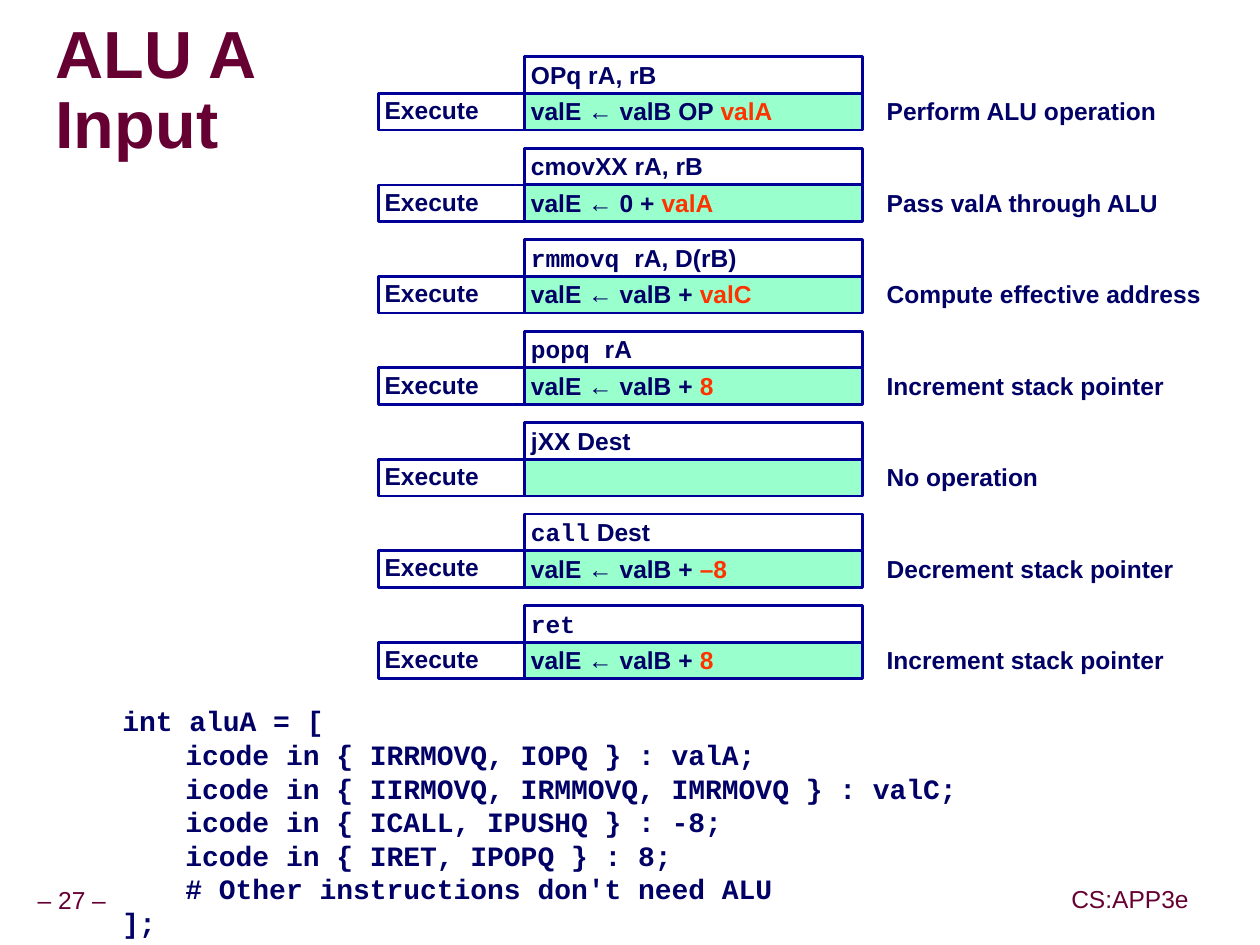
from dataclasses import dataclass

from lxml import etree
from pptx import Presentation
from pptx.dml.color import RGBColor
from pptx.enum.shapes import MSO_SHAPE
from pptx.enum.text import MSO_ANCHOR, MSO_AUTO_SIZE, PP_ALIGN
from pptx.oxml.ns import qn
from pptx.shapes.autoshape import Shape
from pptx.slide import Slide
from pptx.text.text import _Paragraph as Paragraph, _Run as Run
from pptx.util import Inches, Pt

RECTANGLE = MSO_SHAPE.RECTANGLE
TOP = MSO_ANCHOR.TOP
MIDDLE = MSO_ANCHOR.MIDDLE
LEFT = PP_ALIGN.LEFT
CENTER = PP_ALIGN.CENTER
FIT_SHAPE = MSO_AUTO_SIZE.SHAPE_TO_FIT_TEXT


@dataclass(frozen=True)
class Theme:
    navy: str = "000066"
    maroon: str = "660033"
    red: str = "FF3300"
    mint: str = "99FFCC"
    border: str = "000099"
    shadow: str = "969696"
    sans: str = "Arial"
    mono: str = "Courier New"
    title_size: int = 38
    code_size: int = 16
    label_size: int = 14
    border_width: float = 1.5


THEME = Theme()


@dataclass(frozen=True)
class Span:
    text: str
    color: str = THEME.navy
    font: str = THEME.sans
    size: int = THEME.label_size
    bold: bool = True


@dataclass(frozen=True)
class Box:
    left: float
    top: float
    width: float
    height: float


@dataclass(frozen=True)
class Instruction:
    name: list[Span]
    operation: list[Span]
    purpose: str


def mono(text: str) -> Span:
    return Span(text, font=THEME.mono)


def red(text: str) -> Span:
    return Span(text, color=THEME.red)


INSTRUCTIONS = [
    Instruction([Span("OPq rA, rB")], [Span("valE ← valB OP "), red("valA")], "Perform ALU operation"),
    Instruction([Span("cmovXX rA, rB")], [Span("valE ← 0 + "), red("valA")], "Pass valA through ALU"),
    Instruction([mono("rmmovq "), Span("rA, D(rB)")], [Span("valE ← valB + "), red("valC")],
                "Compute effective address"),
    Instruction([mono("popq "), Span("rA")], [Span("valE ← valB + "), red("8")], "Increment stack pointer"),
    Instruction([Span("jXX Dest")], [], "No operation"),
    Instruction([mono("call"), Span(" Dest")], [Span("valE ← valB + "), red("–8")], "Decrement stack pointer"),
    Instruction([mono("ret")], [Span("valE ← valB + "), red("8")], "Increment stack pointer"),
]

CODE = [
    "int aluA = [",
    "\ticode in { IRRMOVQ, IOPQ } : valA;",
    "\ticode in { IIRMOVQ, IRMMOVQ, IMRMOVQ } : valC;",
    "\ticode in { ICALL, IPUSHQ } : -8;",
    "\ticode in { IRET, IPOPQ } : 8;",
    "\t# Other instructions don't need ALU",
    "];",
]

FOOTERS = [
    ("– 27 –", Box(0.24, 6.99, 0.66, 0.31)),
    ("CS:APP3e", Box(8.44, 6.98, 1.04, 0.32)),
]

STAGE_LEFT, STAGE_WIDTH = 3.0, 1.16
DETAIL_LEFT, DETAIL_WIDTH = 4.16, 2.68
PURPOSE_LEFT = 6.98
ROW_HEIGHT = 0.29
FIRST_ROW, LAST_ROW = 0.74, 5.09
ROW_STEP = (LAST_ROW - FIRST_ROW) / (len(INSTRUCTIONS) - 1)


def add_span(paragraph: Paragraph, span: Span) -> Run:
    run = paragraph.add_run()
    run.text = span.text
    run.font.name = span.font
    run.font.size = Pt(span.size)
    run.font.bold = span.bold
    run.font.color.rgb = RGBColor.from_string(span.color)
    return run


def prepare_text(shape: Shape, anchor: MSO_ANCHOR, inset: float = 0.05) -> None:
    frame = shape.text_frame
    frame.word_wrap = True
    frame.vertical_anchor = anchor
    frame.margin_left = frame.margin_right = Inches(inset)
    frame.margin_top = frame.margin_bottom = Inches(inset)


def write_line(shape: Shape, spans: list[Span], alignment: PP_ALIGN = LEFT) -> None:
    paragraph = shape.text_frame.paragraphs[0]
    paragraph.alignment = alignment
    paragraph.line_spacing = 0.9
    for span in spans:
        add_span(paragraph, span)


def add_text_box(slide: Slide, box: Box, anchor: MSO_ANCHOR = TOP, inset: float = 0.05) -> Shape:
    shape = slide.shapes.add_textbox(
        Inches(box.left), Inches(box.top), Inches(box.width), Inches(box.height))
    prepare_text(shape, anchor, inset)
    return shape


def add_cell(slide: Slide, box: Box, spans: list[Span], anchor: MSO_ANCHOR = TOP, fill: str = "") -> None:
    shape = slide.shapes.add_shape(
        RECTANGLE, Inches(box.left), Inches(box.top), Inches(box.width), Inches(box.height))
    shape.shadow.inherit = False
    if fill:
        shape.fill.solid()
        shape.fill.fore_color.rgb = RGBColor.from_string(fill)
    else:
        shape.fill.background()
    shape.line.color.rgb = RGBColor.from_string(THEME.border)
    shape.line.width = Pt(THEME.border_width)
    prepare_text(shape, anchor)
    write_line(shape, spans)


def add_text_shadow(run: Run) -> None:
    effects = etree.Element(qn("a:effectLst"))
    shadow = etree.SubElement(effects, qn("a:outerShdw"), dist=str(Inches(0.05)), dir="2700000")
    etree.SubElement(shadow, qn("a:srgbClr"), val=THEME.shadow)
    run.font._element.find(qn("a:solidFill")).addnext(effects)


def add_title(slide: Slide) -> None:
    title = add_text_box(slide, Box(0.44, 0.31, 9.52, 0.85), MIDDLE, 0)
    paragraph = title.text_frame.paragraphs[0]
    paragraph.line_spacing = 0.87
    for index, text in enumerate(["ALU A ", "Input"]):
        if index:
            paragraph.add_line_break()
        add_text_shadow(add_span(paragraph, Span(text, THEME.maroon, size=THEME.title_size)))


def add_code(slide: Slide) -> None:
    frame = add_text_box(slide, Box(0.92, 5.53, 8.75, 1.96)).text_frame
    for index, line in enumerate(CODE):
        paragraph = frame.add_paragraph() if index else frame.paragraphs[0]
        add_span(paragraph, Span(line, font=THEME.mono, size=THEME.code_size))


def add_instruction(slide: Slide, instruction: Instruction, top: float) -> None:
    add_cell(slide, Box(DETAIL_LEFT, top - ROW_HEIGHT, DETAIL_WIDTH, ROW_HEIGHT), instruction.name)
    add_cell(slide, Box(STAGE_LEFT, top, STAGE_WIDTH, ROW_HEIGHT), [Span("Execute")], MIDDLE)
    add_cell(slide, Box(DETAIL_LEFT, top, DETAIL_WIDTH, ROW_HEIGHT), instruction.operation, fill=THEME.mint)
    purpose = add_text_box(slide, Box(PURPOSE_LEFT, top, DETAIL_WIDTH, ROW_HEIGHT))
    write_line(purpose, [Span(instruction.purpose)])


def add_footer(slide: Slide, text: str, box: Box) -> None:
    footer = add_text_box(slide, box, MIDDLE)
    footer.text_frame.word_wrap = False
    footer.text_frame.auto_size = FIT_SHAPE
    write_line(footer, [Span(text, THEME.maroon, bold=False)], CENTER)


def main() -> None:
    presentation = Presentation()
    presentation.slide_width = Inches(9.99)
    presentation.slide_height = Inches(7.49)
    slide = presentation.slides.add_slide(presentation.slide_layouts[6])
    for text, box in FOOTERS:
        add_footer(slide, text, box)
    add_title(slide)
    add_code(slide)
    for index, instruction in enumerate(INSTRUCTIONS):
        add_instruction(slide, instruction, FIRST_ROW + index * ROW_STEP)
    presentation.save("out.pptx")


if __name__ == "__main__":
    main()
